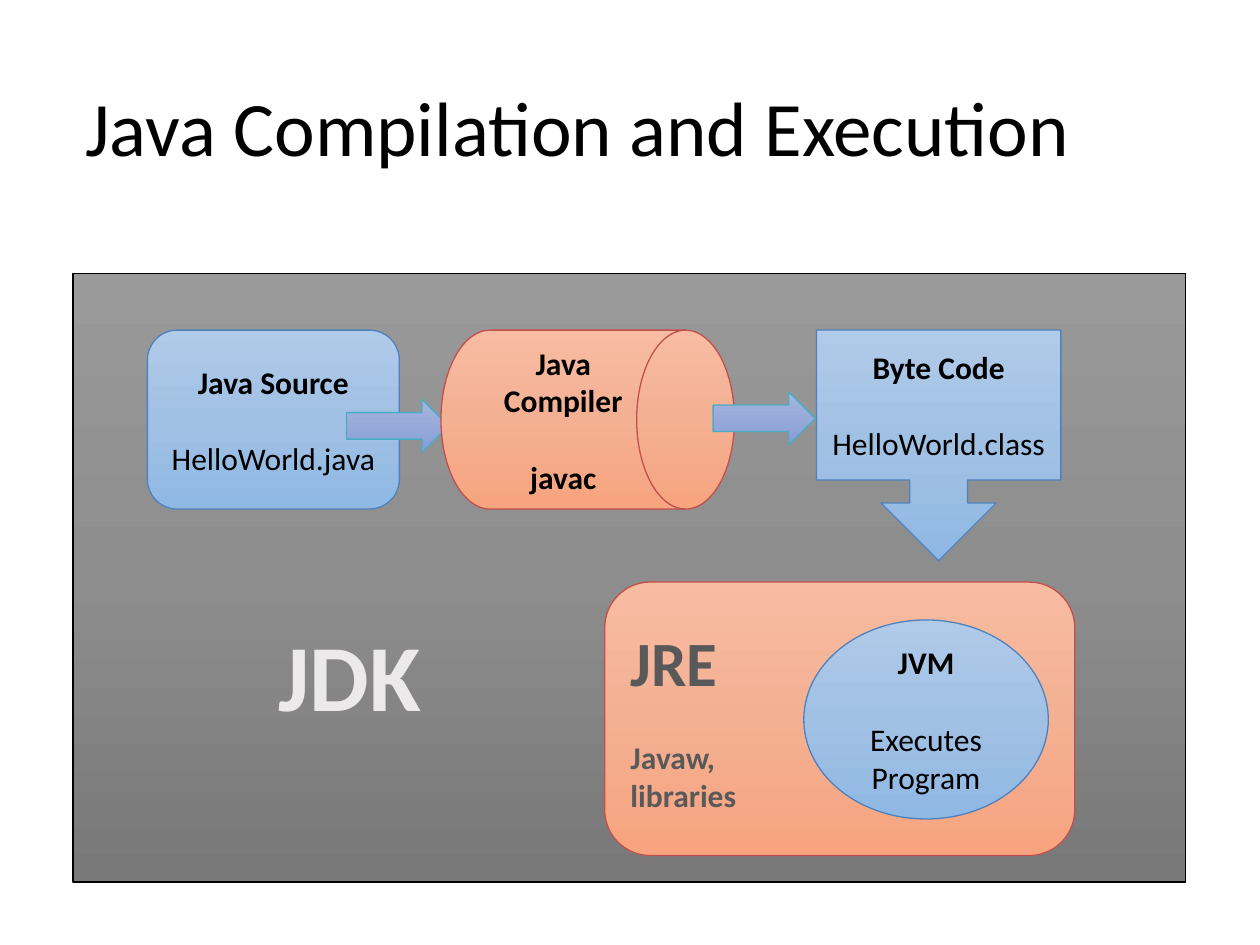
"""Build a slide on how Java source is compiled and executed."""
from copy import deepcopy

from pptx import Presentation
from pptx.dml.color import RGBColor
from pptx.enum.shapes import MSO_SHAPE
from pptx.enum.text import MSO_ANCHOR, PP_ALIGN
from pptx.oxml.ns import qn
from pptx.util import Inches, Pt

TITLE = "Java Compilation and Execution"
FONT = "Calibri"
BLANK_LINE = 22

GRAY = (("9A9A9A", "8D8D8D", "787878"), "000000")
ORANGE = (("F7BCA2", "F4B093", "F7A47F"), "C0504D")
BLUE = (("B0CAE9", "A1C1E4", "90B8E4"), "4F81BD")
VIOLET = (("A6B6DE", "98AAD9", "859CD7"), "4BACC6")

JDK = [("JDK", 54, True, 0)]
JRE = [("JRE", 36, True, 0), ("Javaw,", 18, True, BLANK_LINE), ("libraries", 18, True, 0)]


def labelled(heading, detail, detail_bold=False):
    """Return a bold heading and a detail one blank line below it."""
    return [(heading, 18, True, 0), (detail, 18, detail_bold, BLANK_LINE)]


CENTER, LEFT = PP_ALIGN.CENTER, PP_ALIGN.LEFT
PARTS = [
    (MSO_SHAPE.RECTANGLE, (0.58, 2.17, 8.83, 4.83), GRAY, JDK, LEFT, "EBE9E9", (1.63, 1.58)),
    (MSO_SHAPE.ROUNDED_RECTANGLE, (4.8, 4.62, 3.73, 2.17), ORANGE, JRE, LEFT, "595959", (0.1, 0.05)),
    (MSO_SHAPE.ROUNDED_RECTANGLE, (1.17, 2.62, 2, 1.42), BLUE,
     labelled("Java Source", "HelloWorld.java"), CENTER, "000000", (0.1, 0.05)),
    (MSO_SHAPE.RIGHT_ARROW, (2.75, 3.17, 0.81, 0.42), VIOLET, [], CENTER, "000000", (0.1, 0.05)),
    (MSO_SHAPE.FLOWCHART_DIRECT_ACCESS_STORAGE, (3.5, 2.62, 2.33, 1.42), ORANGE,
     labelled("Java Compiler", "javac", True), CENTER, "000000", (0.1, 0.05)),
    (MSO_SHAPE.RIGHT_ARROW, (5.66, 3.11, 0.81, 0.42), VIOLET, [], CENTER, "000000", (0.1, 0.05)),
    (MSO_SHAPE.DOWN_ARROW_CALLOUT, (6.48, 2.62, 1.94, 1.83), BLUE,
     labelled("Byte Code", "HelloWorld.class"), CENTER, "000000", (0.1, 0.05)),
    (MSO_SHAPE.OVAL, (6.38, 4.92, 1.94, 1.58), BLUE,
     labelled("JVM", "Executes Program"), CENTER, "000000", (0.1, 0.05)),
]
CALLOUT_ADJUSTMENTS = (0.25, 0.25, 0.25, 0.65)


def rgb(value):
    """Turn a hex string into a colour."""
    return RGBColor.from_string(value)


def paint(part, palette):
    """Give a shape its three-stop vertical gradient and outline."""
    shades, outline = palette
    part.shadow.inherit = False
    part.fill.gradient()
    part.fill.gradient_angle = 270
    stop_list = part._element.spPr.find(qn("a:gradFill")).find(qn("a:gsLst"))
    stop_list.insert(1, deepcopy(stop_list[0]))
    for stop, shade, position in zip(part.fill.gradient_stops, shades, (0, 0.5, 1)):
        stop.color.rgb = rgb(shade)
        stop.position = position
    part.line.color.rgb = rgb(outline)
    part.line.width = Pt(0.75)


def write(frame, lines, align, color):
    """Write lines of (text, size, bold, space before) into a text frame."""
    frame.word_wrap = True
    frame.vertical_anchor = MSO_ANCHOR.MIDDLE
    for index, (text, size, bold, gap) in enumerate(lines):
        paragraph = frame.add_paragraph() if index else frame.paragraphs[0]
        paragraph.text = text
        paragraph.alignment = align
        if gap:
            paragraph.space_before = Pt(gap)
        paragraph.font.name = FONT
        paragraph.font.size = Pt(size)
        paragraph.font.bold = bold
        paragraph.font.color.rgb = rgb(color)


def main():
    """Draw the title and the parts of the tool chain."""
    deck = Presentation()
    deck.slide_width, deck.slide_height = Inches(10), Inches(7.5)
    slide = deck.slides.add_slide(deck.slide_layouts[6])

    title = slide.shapes.add_textbox(*map(Inches, (0.58, 0.42, 9.17, 1.25)))
    write(title.text_frame, [(TITLE, 44, False, 0)], LEFT, "000000")
    title.text_frame.paragraphs[0].line_spacing = 0.9

    for preset, box, palette, lines, align, color, (left, top) in PARTS:
        part = slide.shapes.add_shape(preset, *map(Inches, box))
        paint(part, palette)
        if preset == MSO_SHAPE.DOWN_ARROW_CALLOUT:
            for index, value in enumerate(CALLOUT_ADJUSTMENTS):
                part.adjustments[index] = value
        part.text_frame.margin_left = Inches(left)
        part.text_frame.margin_top = Inches(top)
        write(part.text_frame, lines, align, color)

    deck.save("out.pptx")


if __name__ == "__main__":
    main()
